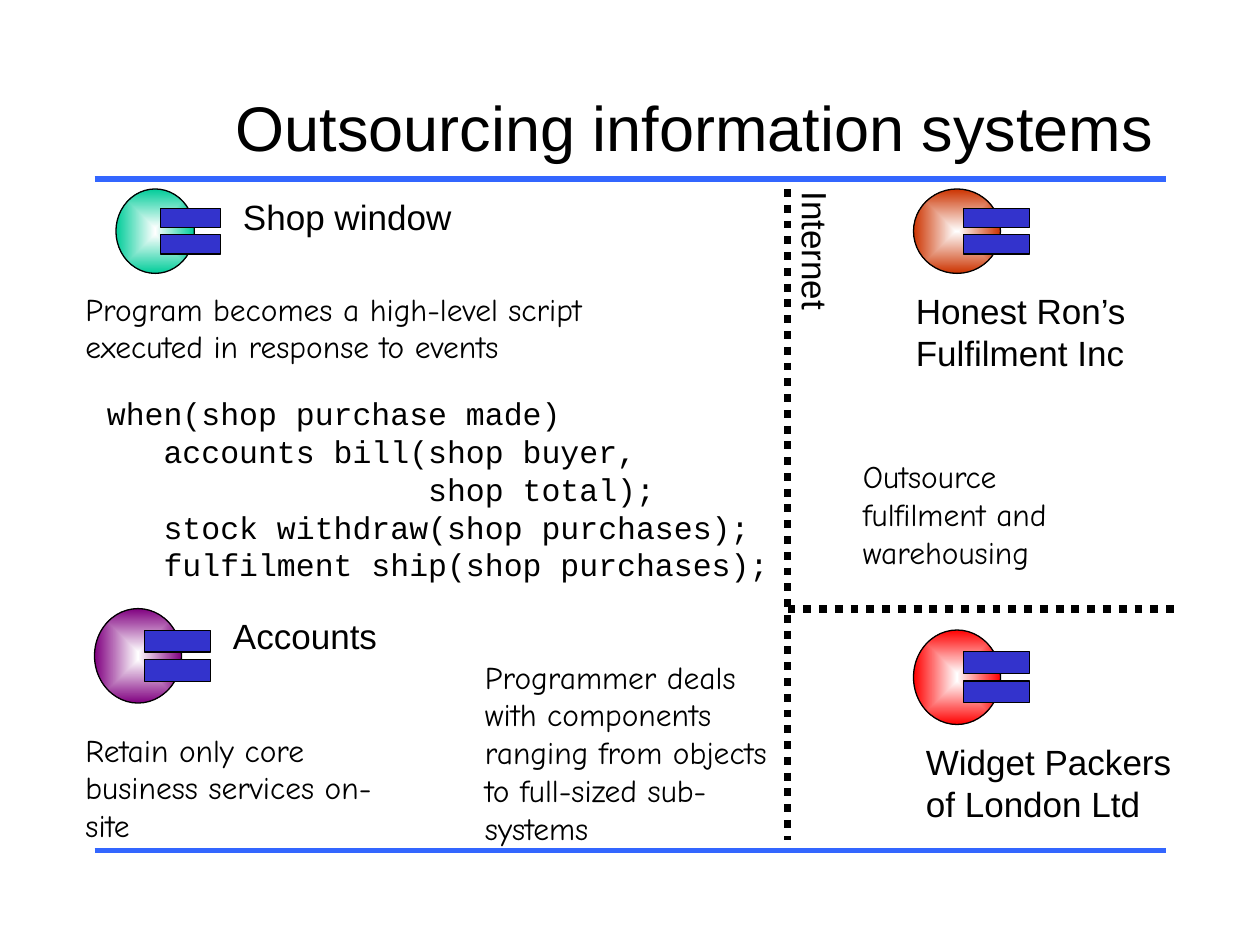
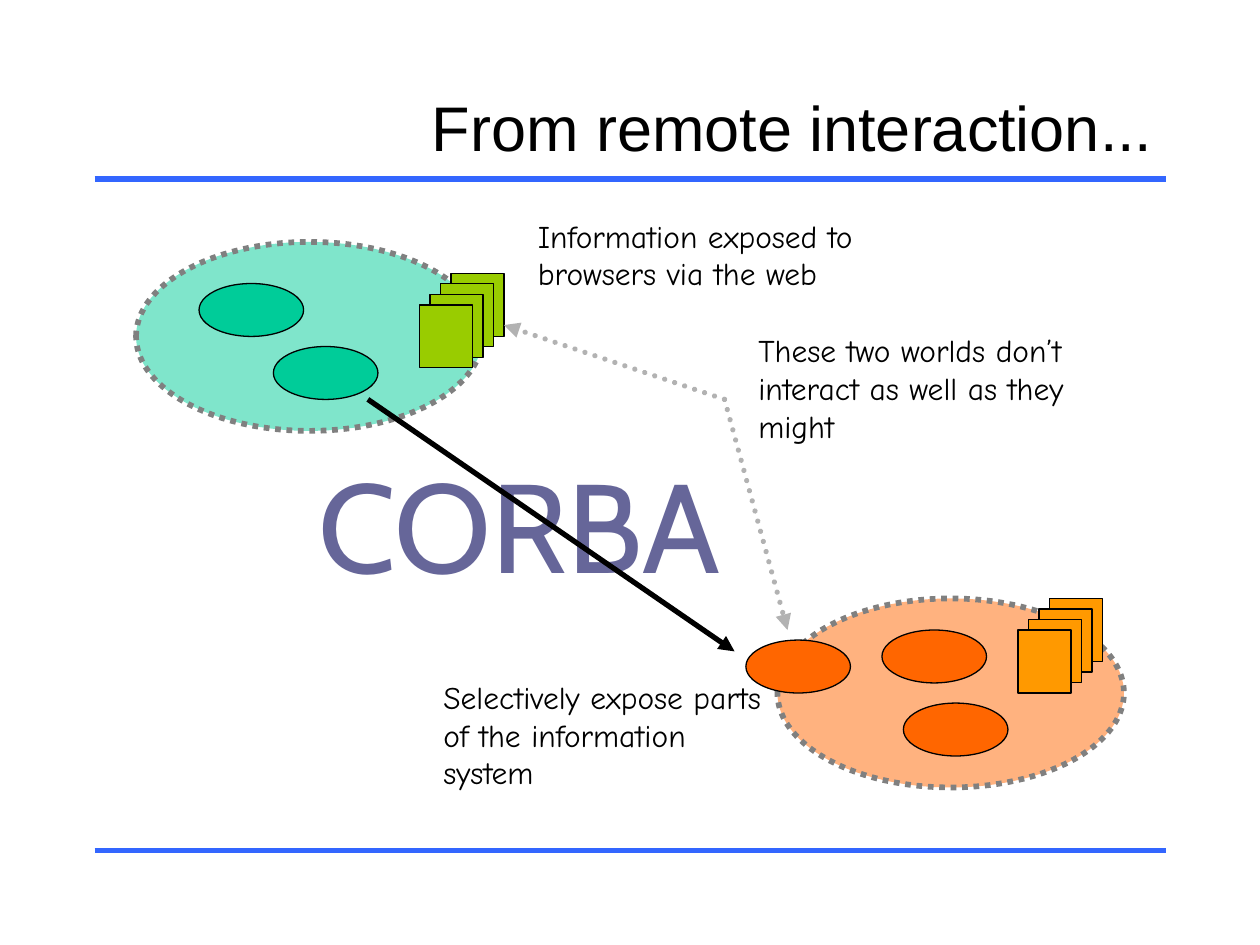
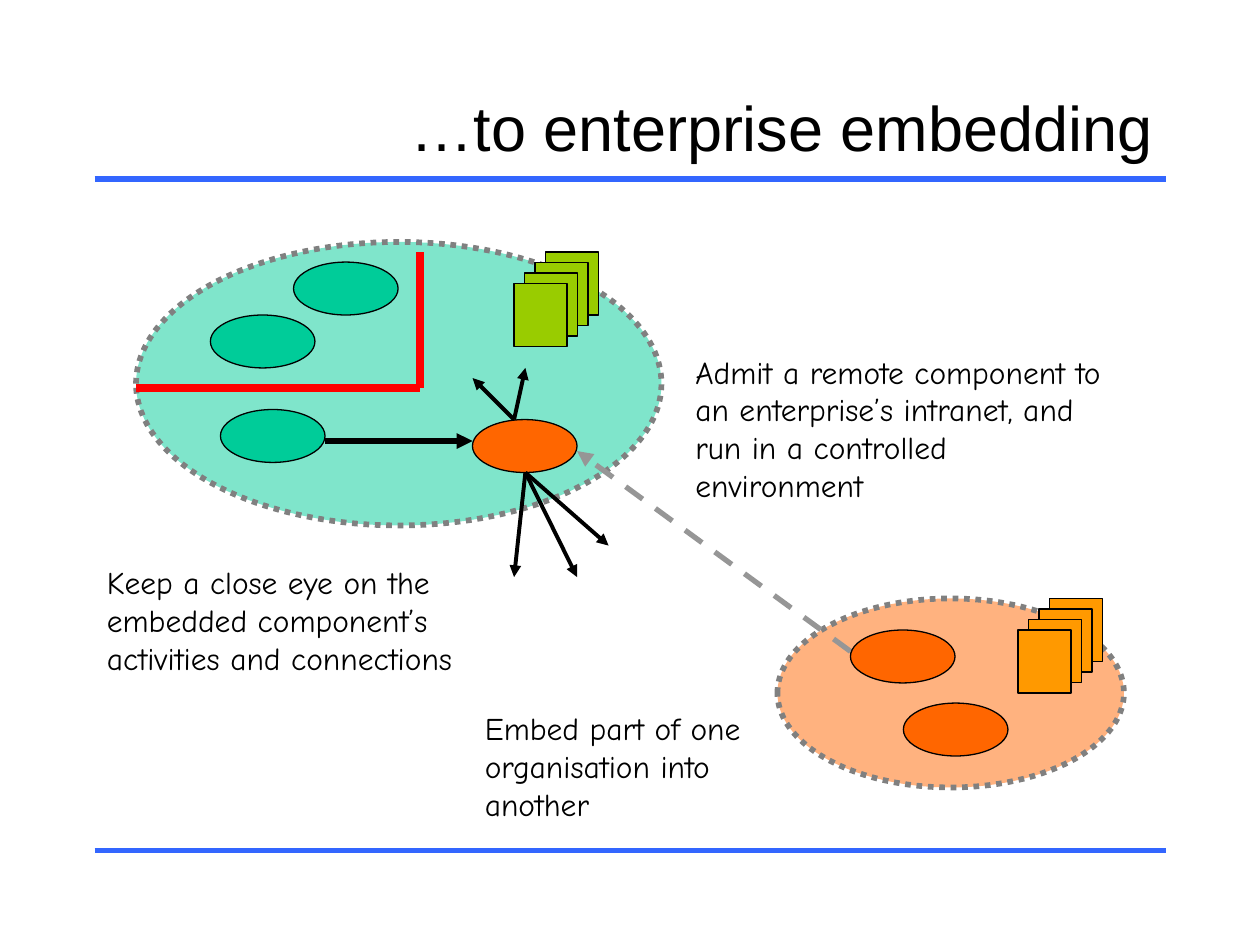
from lxml import etree
from pptx import Presentation
from pptx import util as u
from pptx.dml.color import RGBColor
from pptx.enum import dml, shapes, text
from pptx.oxml.ns import qn

BLACK, GREY, WHITE = "000000", "808080", "FFFFFF"
RULE, BAR, RED, SILVER, ASH = "3366FF", "3333CC", "FF0000", "B2B2B2", "969696"
TEAL, LIME, ORANGE, AMBER = "00CC99", "99CC00", "FF6600", "FF9900"

OVAL, RECT = shapes.MSO_SHAPE.OVAL, shapes.MSO_SHAPE.RECTANGLE
DOT, DASH = dml.MSO_LINE.ROUND_DOT, dml.MSO_LINE.DASH
RIGHT, CENTRE = text.PP_ALIGN.RIGHT, text.PP_ALIGN.CENTER

FONTS = {
    "title": {"name": "Arial", "size": u.Pt(36)},
    "label": {"name": "Arial", "size": u.Pt(20)},
    "note": {"name": "Comic Neue", "size": u.Pt(18)},
    "code": {"name": "Courier New", "size": u.Pt(18)},
    "big": {"name": "Cabin", "size": u.Pt(72)},
}

CODE = """when(shop purchase made)
   accounts bill(shop buyer,
                 shop total);
   stock withdraw(shop purchases);
   fulfilment ship(shop purchases);"""


def rgb(code):
    return RGBColor.from_string(code)


def inches(*sizes):
    return [u.Inches(size) for size in sizes]


def add_tag(parent, name, **attrs):
    return etree.SubElement(parent, qn(name), attrs)


class Deck:
    """Holds the shared style and the slide now being filled."""

    def __init__(self):
        self.prs = Presentation()
        self.prs.slide_width, self.prs.slide_height = inches(10, 7.5)
        self.slide = None

    def start(self, title):
        self.slide = self.prs.slides.add_slide(self.prs.slide_layouts[6])
        for y in (1.42, 6.75):
            self.line((0.75, y), (9.25, y), RULE)
        box = self.words("title", title, 0.75, 0.67, 8.5, 0.67, align=RIGHT)
        box.text_frame.auto_size = text.MSO_AUTO_SIZE.NONE
        box.text_frame.vertical_anchor = text.MSO_ANCHOR.MIDDLE

    def words(self, style, content, x, y, w, h, align=None, colour=BLACK):
        box = self.slide.shapes.add_textbox(*inches(x, y, w, h))
        frame = box.text_frame
        frame.word_wrap = True
        frame.auto_size = text.MSO_AUTO_SIZE.SHAPE_TO_FIT_TEXT
        para = frame.paragraphs[0]
        para.text = content
        para.alignment = align
        for run in para.runs:
            for key, value in FONTS[style].items():
                setattr(run.font, key, value)
            run.font.color.rgb = rgb(colour)
        return box

    def shape(self, kind, fill, x, y, w, h, home=None):
        """Draw an outlined shape on the slide, or in the group given as home."""
        item = (home or self.slide).shapes.add_shape(kind, *inches(x, y, w, h))
        item.shadow.inherit = False
        item.fill.solid()
        item.fill.fore_color.rgb = rgb(fill)
        item.line.color.rgb = rgb(BLACK)
        item.line.width = u.Pt(0.75)
        return item

    def line(self, start, end, colour=BLACK, width=3, dash=None, tip=False):
        """Draw a straight line; tip puts an arrowhead at its end."""
        item = self.slide.shapes.add_connector(
            shapes.MSO_CONNECTOR.STRAIGHT, *inches(*start, *end))
        item.line.color.rgb = rgb(colour)
        item.line.width = u.Pt(width)
        if dash:
            item.line.dash_style = dash
        if tip:
            add_tag(item.line._get_or_add_ln(), "a:tailEnd", type="triangle")
        add_tag(item._element.spPr, "a:effectLst")
        return item

    def realm(self, fill, x, y, w, h):
        """Draw a half-clear oval with a dotted edge."""
        item = self.shape(OVAL, fill, x, y, w, h)
        tint = item._element.spPr.find(qn("a:solidFill"))[0]
        add_tag(tint, "a:alpha", val="50000")
        item.line.color.rgb = rgb(GREY)
        item.line.width = u.Pt(3.25)
        item.line.dash_style = DOT

    def node(self, fill, x, y):
        self.shape(OVAL, fill, x, y, 0.83, 0.42)

    def stack(self, fill, x, y):
        """Draw four pages, the front one at the lower left."""
        group = self.slide.shapes.add_group_shape()
        for step in range(4):
            gap = step / 12
            self.shape(RECT, fill, x + 0.25 - gap, y + gap, 0.42, 0.5, group)

    def unit(self, fill, x, y, w, h):
        """Draw a component: a glowing oval with two bars."""
        group = self.slide.shapes.add_group_shape()
        ball = self.shape(OVAL, fill, x, y, 0.75 * w, h, group)
        ball.fill.gradient()
        for stop, colour in zip(ball.fill.gradient_stops, (WHITE, fill)):
            stop.color.rgb = rgb(colour)
        grad = ball._element.spPr.find(qn("a:gradFill"))
        grad.remove(grad.find(qn("a:lin")))
        focus = add_tag(grad, "a:path", path="rect")
        add_tag(focus, "a:fillToRect", **dict.fromkeys("ltrb", "50000"))
        for drop in (0.23, 0.54):
            self.shape(RECT, BAR, x + 0.43 * w, y + drop * h,
                       0.57 * w, 0.23 * h, group)


def draw_shop(deck):
    deck.start("Outsourcing information systems")
    for fill, x, y, w, h in (
            (TEAL, 0.92, 1.5, 0.83, 0.67), ("800080", 0.75, 4.83, 0.92, 0.75),
            (RED, 7.25, 5, 0.92, 0.75), ("CC3300", 7.25, 1.5, 0.92, 0.67)):
        deck.unit(fill, x, y, w, h)
    deck.words("code", CODE, 0.75, 3.08, 5.5, 1.6)
    deck.words("label", "Honest Ron’s Fulfilment Inc", 7.17, 2.25, 2.08, 0.77)
    deck.words("label", "Widget Packers of London Ltd", 7.25, 5.83, 2.25, 0.77)
    deck.words("label", "Shop window", 1.83, 1.5, 1.92, 0.44)
    deck.words("label", "Accounts", 1.75, 4.83, 1.92, 0.44)
    deck.line((6.25, 1.5), (6.25, 6.67), width=4.5, dash=DOT)
    deck.words("label", "Internet", 5.51, 2.16, 1.92, 0.44).rotation = 90
    deck.line((6.25, 4.83), (9.33, 4.83), width=4.5, dash=DOT)
    deck.words("note", "Outsource fulfilment and warehousing",
               6.75, 3.58, 2.08, 1)
    deck.words("note", "Retain only core business services on-site",
               0.58, 5.75, 2.5, 1)
    deck.words("note", "Program becomes a high-level script executed in "
               "response to events", 0.58, 2.25, 4.67, 0.7)
    deck.words("note", "Programmer deals with components ranging from objects "
               "to full-sized sub-systems", 3.75, 5.17, 2.58, 1.6)


def draw_remote(deck):
    deck.start("From remote interaction...")
    deck.words("big", "CORBA", 1.58, 3.5, 5.08, 1.3, CENTRE, "666699")
    deck.realm(TEAL, 1.08, 1.92, 2.75, 1.5)
    deck.node(TEAL, 1.58, 2.25)
    deck.node(TEAL, 2.17, 2.75)
    deck.stack(LIME, 3.33, 2.17)
    deck.realm(ORANGE, 6.17, 4.75, 2.75, 1.5)
    deck.stack(AMBER, 8.08, 4.75)
    for x, y in ((5.92, 5.08), (7.17, 5.58), (7, 5)):
        deck.node(ORANGE, x, y)
    deck.line((2.92, 3.17), (5.83, 5.17), tip=True)
    for end in ((6.25, 5), (4, 2.58)):
        link = deck.line((5.75, 3.17), end, SILVER, dash=DOT, tip=True)
        link.line._get_or_add_ln().set("cap", "rnd")
    deck.words("note", "Information exposed to browsers via the web",
               4.17, 1.67, 3.08, 0.7)
    deck.words("note", "Selectively expose parts of the information system",
               3.42, 5.33, 2.83, 1)
    deck.words("note", "These two worlds don’t interact as well as they might",
               5.92, 2.58, 2.67, 1)


def draw_embed(deck):
    deck.start("…to enterprise embedding")
    deck.realm(TEAL, 1.08, 1.92, 4.17, 2.25)
    for x, y in ((1.67, 2.5), (1.75, 3.25), (2.33, 2.08)):
        deck.node(TEAL, x, y)
    deck.stack(LIME, 4.08, 2)
    deck.realm(ORANGE, 6.17, 4.75, 2.75, 1.5)
    deck.node(ORANGE, 3.75, 3.33)
    deck.stack(AMBER, 8.08, 4.75)
    deck.node(ORANGE, 7.17, 5.58)
    deck.line((6.75, 5.17), (4.58, 3.58), ASH, dash=DASH, tip=True)
    deck.node(ORANGE, 6.75, 5)
    deck.line((2.58, 3.5), (3.75, 3.5), tip=True)
    corner = (3.33, 3.08)
    for start in ((1.08, 3.08), (3.33, 2)):
        deck.line(start, corner, RED, 4.5)
    foot, head = (4.17, 3.75), (4.08, 3.33)
    for start, end in ((foot, (4.08, 4.58)), (foot, (4.58, 4.58)),
                       (foot, (4.83, 4.33)), (head, (3.75, 3)),
                       (head, (4.17, 2.92))):
        deck.line(start, end, width=2.25, tip=True)
    deck.words("note", "Admit a remote component to an enterprise’s intranet, "
               "and run in a controlled environment", 5.42, 2.75, 3.42, 1.3)
    deck.words("note", "Embed part of one organisation into another",
               3.75, 5.58, 2.67, 1)
    deck.words("note", "Keep a close eye on the embedded component’s "
               "activities and connections", 0.75, 4.42, 3.42, 1)


def main():
    deck = Deck()
    for draw in (draw_shop, draw_remote, draw_embed):
        draw(deck)
    deck.prs.save("out.pptx")


if __name__ == "__main__":
    main()
